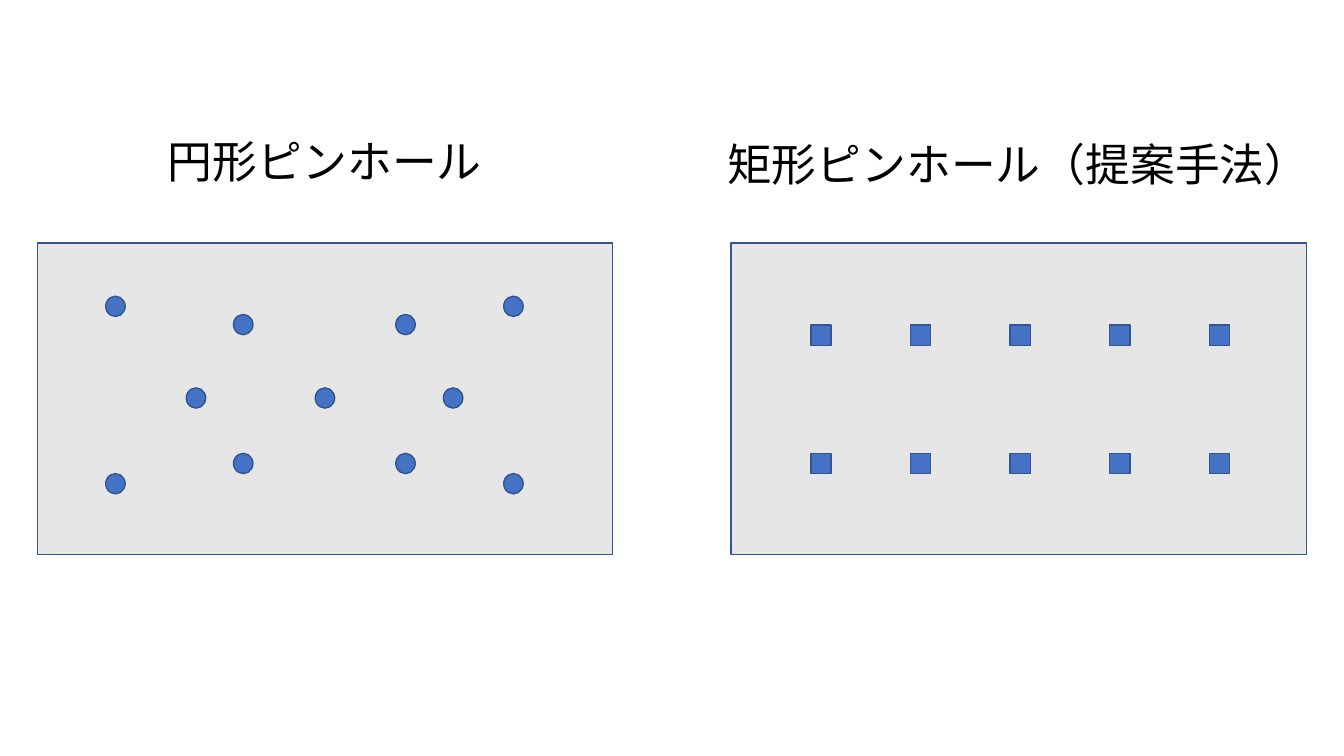
import pptx
import pptx.util
import pptx.dml.color
import pptx.enum.shapes
import pptx.enum.text
import pptx.oxml
import pptx.oxml.ns

Cm = pptx.util.Cm
SHAPE = pptx.enum.shapes.MSO_SHAPE
COLORS = {"plate": "E7E6E6", "hole": "4472C4", "line": "325491", "text": "000000"}
FONT = "Noto Sans CJK JP"
PLATE_W, PLATE_H = 14.5, 7.85


def rgb(name):
    """Return the named colour."""
    return pptx.dml.color.RGBColor.from_string(COLORS[name])


def add_shape(s, kind, x, y, w, h, fill):
    """Add an outlined preset shape, in centimetres."""
    sp = s.shapes.add_shape(kind, Cm(x), Cm(y), Cm(w), Cm(h))
    sp.shadow.inherit = False
    sp.fill.solid()
    sp.fill.fore_color.rgb = rgb(fill)
    sp.line.color.rgb = rgb("line")
    sp.line.width = pptx.util.Pt(1)


def add_caption(s, text, x, y, w):
    """Add a centred one-line caption."""
    sp = s.shapes.add_textbox(Cm(x), Cm(y), Cm(w), Cm(1.62))
    tf = sp.text_frame
    tf.word_wrap = False
    tf.auto_size = pptx.enum.text.MSO_AUTO_SIZE.SHAPE_TO_FIT_TEXT
    p = tf.paragraphs[0]
    p.alignment = pptx.enum.text.PP_ALIGN.CENTER
    r = p.add_run()
    r.text = text
    r.font.size = pptx.util.Pt(32)
    r.font.name = FONT
    r.font.color.rgb = rgb("text")
    ea = pptx.oxml.parse_xml(f'<a:ea {pptx.oxml.ns.nsdecls("a")} typeface="{FONT}"/>')
    r.font._element.find(pptx.oxml.ns.qn("a:latin")).addnext(ea)


def add_pinhole_plate(s, x, y, caption, caption_w, caption_rise, kind, hole_w, hole_h, centres):
    """Place a plate at x, y with its caption above and pinholes at centres within it."""
    add_shape(s, SHAPE.RECTANGLE, x, y, PLATE_W, PLATE_H, "plate")
    for cx, cy in centres:
        add_shape(s, kind, x + cx - hole_w / 2, y + cy - hole_h / 2, hole_w, hole_h, "hole")
    add_caption(s, caption, x + (PLATE_W - caption_w) / 2, y - caption_rise, caption_w)


prs = pptx.Presentation()
prs.slide_width, prs.slide_height = Cm(33.87), Cm(19.05)
s = prs.slides.add_slide(prs.slide_layouts[6])

outer, inner, middle = (1.97, 12), (5.19, 9.28), (4, 7.25, 10.48)
circle_rows = {1.6: outer, 2.06: inner, 3.91: middle, 5.56: inner, 6.07: outer}
circles = [(cx, cy) for cy, row in circle_rows.items() for cx in row]
squares = [(2.27 + 2.51 * i, cy) for cy in (2.33, 5.56) for i in range(5)]

add_pinhole_plate(s, 0.94, 6.12, "円形ピンホール", 8.48, 2.87, SHAPE.OVAL, 0.49, 0.51, circles)
add_pinhole_plate(s, 18.42, 6.12, "矩形ピンホール（提案手法）", 15.34, 2.79,
                  SHAPE.RECTANGLE, 0.51, 0.51, squares)

prs.save("out.pptx")
